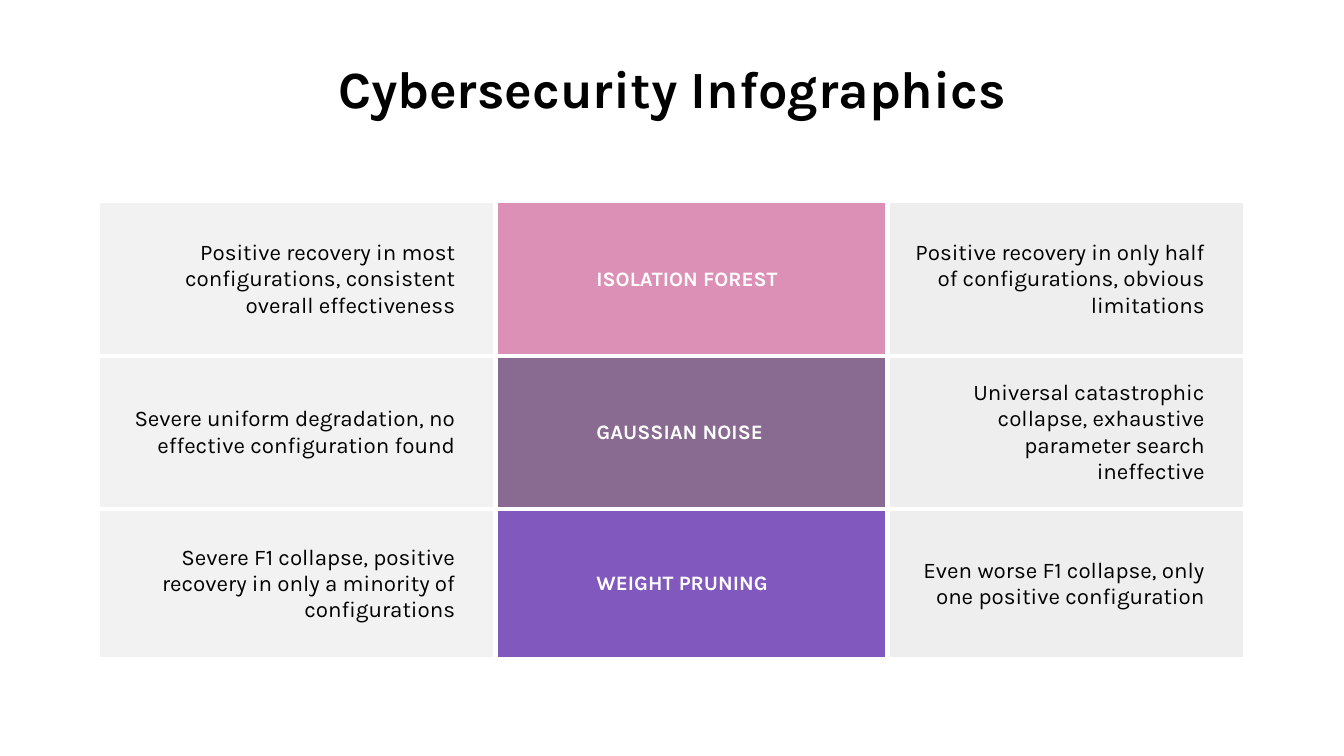
from typing import NamedTuple

from lxml import etree
from pptx import Presentation
from pptx.dml.color import RGBColor
from pptx.enum.text import MSO_ANCHOR, PP_ALIGN
from pptx.oxml.ns import qn
from pptx.util import Pt

LEFT, CENTER, RIGHT = PP_ALIGN.LEFT, PP_ALIGN.CENTER, PP_ALIGN.RIGHT
MIDDLE = MSO_ANCHOR.MIDDLE

FONT = "Karla"
COLORS = {
    "text": "000000",
    "white": "FFFFFF",
    "left": "F2F2F2",
    "right": "EEEEEE",
    "forest": "DD90B6",
    "noise": "896A90",
    "pruning": "8058BE",
}
COLUMN_WIDTHS = (213, 210, 191.5)
ROW_HEIGHTS = (82, 82, 80.5)
BORDER = 3


class Method(NamedTuple):
    name: str
    color: str
    left_finding: str
    right_finding: str


class CellStyle(NamedTuple):
    size: float
    color: str
    bold: bool
    align: PP_ALIGN
    margin_left: float
    margin_right: float


FINDING = CellStyle(12, "text", False, RIGHT, 14.4, 21.6)
LABEL = CellStyle(11, "white", True, LEFT, 54, 7.2)

METHODS = (
    Method("ISOLATION FOREST", "forest",
           "Positive recovery in most configurations, consistent overall effectiveness",
           "Positive recovery in only half of configurations, obvious limitations"),
    Method("GAUSSIAN NOISE", "noise",
           "Severe uniform degradation, no effective configuration found",
           "Universal catastrophic collapse, exhaustive parameter search ineffective"),
    Method("WEIGHT PRUNING", "pruning",
           "Severe F1 collapse, positive recovery in only a minority of configurations",
           "Even worse F1 collapse, only one positive configuration"),
)


def write(frame, text: str, size: float, color: str, bold: bool, align: PP_ALIGN) -> None:
    frame.text = text
    frame.word_wrap = True
    paragraph = frame.paragraphs[0]
    paragraph.alignment = align
    font = paragraph.runs[0].font
    font.name, font.size, font.bold = FONT, Pt(size), bold
    font.color.rgb = RGBColor.from_string(COLORS[color])


def add_borders(cell, has_top: bool) -> None:
    properties = cell._tc.get_or_add_tcPr()
    for side in ("lnL", "lnR", "lnT", "lnB"):
        line = etree.SubElement(properties, qn(f"a:{side}"), w=str(Pt(BORDER)))
        if side == "lnT" and not has_top:
            etree.SubElement(line, qn("a:noFill"))
        else:
            fill = etree.SubElement(line, qn("a:solidFill"))
            etree.SubElement(fill, qn("a:srgbClr"), val=COLORS["white"])


def fill_cell(cell, text: str, fill: str, style: CellStyle, has_top: bool) -> None:
    write(cell.text_frame, text, style.size, style.color, style.bold, style.align)
    cell.vertical_anchor = MIDDLE
    cell.margin_left, cell.margin_right = Pt(style.margin_left), Pt(style.margin_right)
    cell.margin_top = cell.margin_bottom = Pt(7.2)
    add_borders(cell, has_top)
    cell.fill.solid()
    cell.fill.fore_color.rgb = RGBColor.from_string(COLORS[fill])


def add_comparison(slide) -> None:
    table = slide.shapes.add_table(
        len(METHODS), len(COLUMN_WIDTHS), Pt(52.5), Pt(108.75),
        Pt(sum(COLUMN_WIDTHS)), Pt(sum(ROW_HEIGHTS))).table
    table.first_row = table.horz_banding = False
    for column, width in zip(table.columns, COLUMN_WIDTHS):
        column.width = Pt(width)
    for index, (method, height) in enumerate(zip(METHODS, ROW_HEIGHTS)):
        table.rows[index].height = Pt(height)
        entries = (
            (method.left_finding, "left", FINDING),
            (method.name, method.color, LABEL),
            (method.right_finding, "right", FINDING),
        )
        for cell, (text, fill, style) in zip(table.rows[index].cells, entries):
            fill_cell(cell, text, fill, style, has_top=index > 0)


def main() -> None:
    presentation = Presentation()
    presentation.slide_width, presentation.slide_height = Pt(720), Pt(405)
    slide = presentation.slides.add_slide(presentation.slide_layouts[6])

    # Title
    title = slide.shapes.add_textbox(Pt(36), Pt(23), Pt(648), Pt(45)).text_frame
    title.margin_left = title.margin_right = Pt(7.2)
    title.margin_top = title.margin_bottom = Pt(7.2)
    write(title, "Cybersecurity Infographics", 28, "text", True, CENTER)

    # Findings on either side of each method
    add_comparison(slide)
    presentation.save("out.pptx")


if __name__ == "__main__":
    main()
